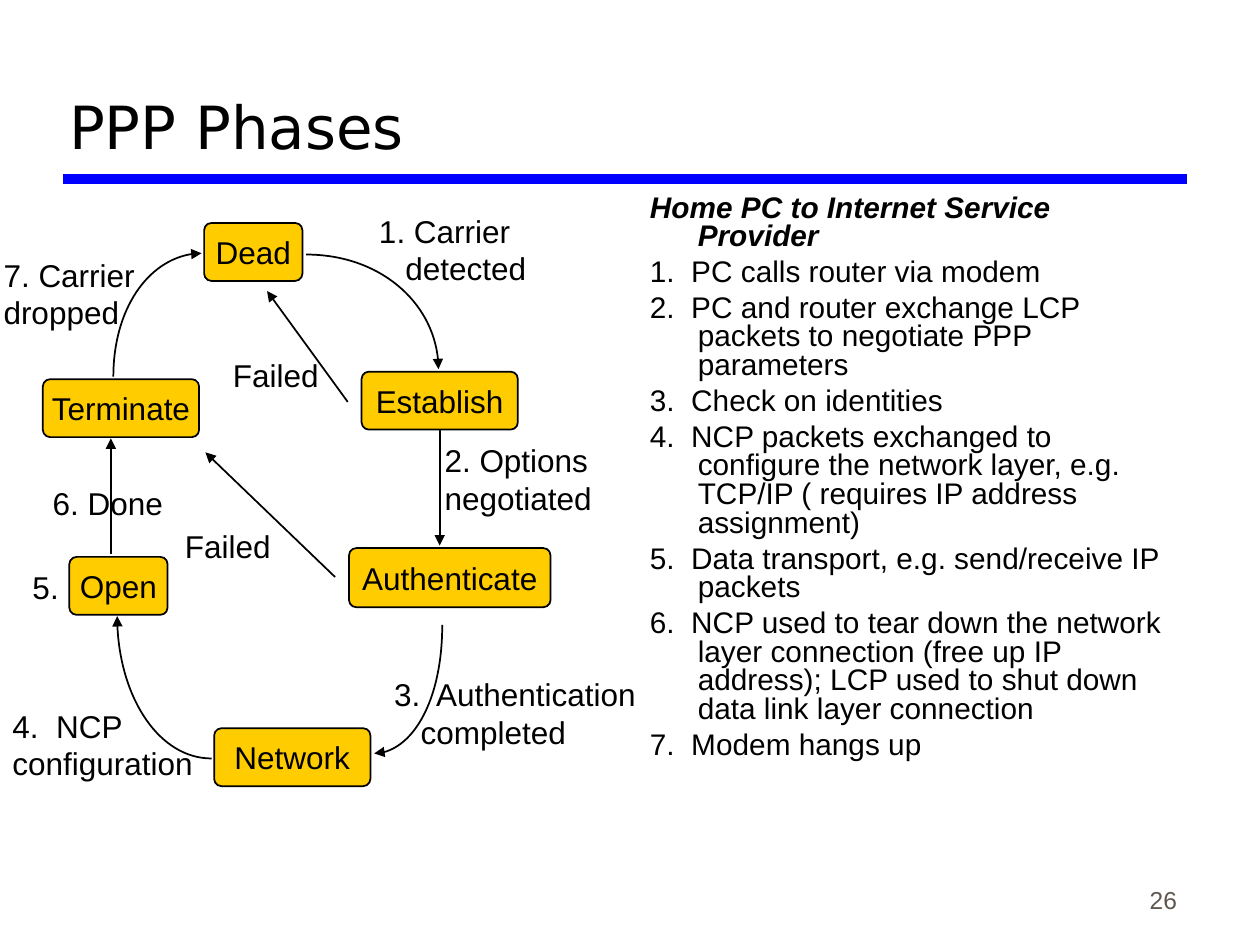
from dataclasses import dataclass

from lxml.etree import SubElement
from pptx import Presentation
from pptx.dml.color import RGBColor
from pptx.enum.shapes import MSO_CONNECTOR, MSO_SHAPE
from pptx.enum.text import MSO_ANCHOR, MSO_AUTO_SIZE, PP_ALIGN
from pptx.oxml.ns import qn
from pptx.util import Inches, Pt


@dataclass(frozen=True)
class Theme:
    ink: str = "000000"
    box: str = "FFCC00"
    rule: str = "0000FF"
    muted: str = "5E574E"
    font: str = "Arial"
    head_font: str = "DejaVu Sans"
    head: int = 34
    label: int = 18
    body: int = 17
    number: int = 14
    thin: int = 1
    thick: int = 6


THEME = Theme()
COLS, ROWS = 100, 75
CELL = Inches(10) // COLS
CURVE = 0.55  # control point share for a quarter ellipse

# Phase: left, top, width, height
PHASES = {
    "Dead": (16.2, 17.7, 7.8, 4.6),
    "Establish": (28.7, 29.5, 12.4, 4.6),
    "Authenticate": (27.7, 43.5, 16, 4.7),
    "Network": (17, 57.8, 12.4, 4.6),
    "Open": (5.5, 44.2, 7.8, 4.6),
    "Terminate": (3.4, 30.1, 12.4, 4.6),
}

# Start, corner that the curve bends towards, end
ARCS = [
    ((24.3, 20.2), (34.8, 20.2), (34.8, 29.3)),
    ((35.1, 49.6), (35.1, 59.8), (29.7, 59.8)),
    ((16.8, 60.2), (9.3, 60.2), (9.3, 48.9)),
    ((9, 29.9), (9, 20.1), (16, 20.1)),
]

ARROWS = [
    ((8.8, 44), (8.8, 34.8)),
    ((27.6, 31.9), (21.2, 23.1)),
    ((26.6, 45.8), (16.3, 35.9)),
]

# Left, top, width, indent of the second line, lines
LABELS = [
    (17.5, 27.8, 9, 0, ["Failed"]),
    (13.7, 41.3, 9, 0, ["Failed"]),
    (29.1, 16.3, 14, 2.1, ["1. Carrier", "detected"]),
    (34.3, 34.5, 14, 0, ["2. Options", "negotiated"]),
    (30.3, 53.1, 22, 2.1, ["3.  Authentication", "completed"]),
    (0, 55.6, 17, 0, ["4.  NCP", "configuration"]),
    (1.6, 44.6, 4.3, 0, ["5."]),
    (3.2, 37.9, 12, 0, ["6. Done"]),
    (-0.7, 19.8, 13, 0, ["7. Carrier", "dropped"]),
]

STEPS = [
    "Home PC to Internet Service Provider",
    "1.  PC calls router via modem",
    "2.  PC and router exchange LCP packets to negotiate PPP parameters",
    "3.  Check on identities",
    "4.  NCP packets exchanged to configure the network layer, e.g. "
    "TCP/IP ( requires IP address assignment)",
    "5.  Data transport, e.g. send/receive IP packets",
    "6.  NCP used to tear down the network layer connection (free up IP "
    "address); LCP used to shut down data link layer connection",
    "7.  Modem hangs up",
]


def grid(*cells):
    return [round(cell * CELL) for cell in cells]


def paint(color, name):
    color.rgb = RGBColor.from_string(name)


def write(frame, lines, size, color=THEME.ink, font=THEME.font):
    frame.text = "\n".join(lines)
    for para in frame.paragraphs:
        for run in para.runs:
            run.font.size = Pt(size)
            run.font.name = font
            paint(run.font.color, color)


def add_text(slide, place, lines, size, **style):
    frame = slide.shapes.add_textbox(*grid(*place)).text_frame
    frame.word_wrap = True
    write(frame, lines, size, **style)
    return frame


def indent(para, left, first=0):
    props = para._p.get_or_add_pPr()
    props.set("marL", str(grid(left)[0]))
    props.set("indent", str(grid(first)[0]))


def add_label(slide, left, top, width, inset, lines):
    height = 1 + 3 * len(lines)
    frame = add_text(slide, (left, top, width, height), lines, THEME.label)
    frame.auto_size = MSO_AUTO_SIZE.SHAPE_TO_FIT_TEXT
    if inset:
        indent(frame.paragraphs[1], inset)


def add_phase(slide, name, place):
    box = slide.shapes.add_shape(MSO_SHAPE.ROUNDED_RECTANGLE, *grid(*place))
    box.adjustments[0] = 0.125
    box.shadow.inherit = False
    box.fill.solid()
    paint(box.fill.fore_color, THEME.box)
    stroke(box.line)
    frame = box.text_frame
    frame.word_wrap = False
    frame.margin_left = frame.margin_right = 0
    frame.vertical_anchor = MSO_ANCHOR.MIDDLE
    write(frame, [name], THEME.label)
    frame.paragraphs[0].alignment = PP_ALIGN.CENTER
    return box


def stroke(line, color=THEME.ink, width=THEME.thin):
    paint(line.color, color)
    line.width = Pt(width)


def add_head(line):
    SubElement(line._get_or_add_ln(), qn("a:tailEnd"), type="triangle")


def add_line(slide, start, end, color=THEME.ink, width=THEME.thin):
    line = slide.shapes.add_connector(MSO_CONNECTOR.STRAIGHT, *grid(*start, *end))
    stroke(line.line, color, width)
    SubElement(line._element.spPr, qn("a:effectLst"))
    return line


def add_arrow(slide, start, end):
    line = add_line(slide, start, end)
    add_head(line.line)
    return line


def add_arc(slide, start, corner, end):
    """Draw a quarter ellipse as one Bezier curve with an arrowhead."""
    bends = [
        [a + CURVE * (c - a) for a, c in zip(point, corner)]
        for point in (start, end)
    ]
    pen = slide.shapes.build_freeform(*grid(*start))
    pen.add_line_segments([grid(*p) for p in (*bends, end)], close=False)
    arc = pen.convert_to_shape()
    arc.shadow.inherit = False
    arc.fill.background()
    stroke(arc.line)
    add_head(arc.line)
    legs = list(arc._element.iter(qn("a:lnTo")))
    track = legs[0].getparent()
    curve = SubElement(track, qn("a:cubicBezTo"))
    for leg in legs:
        curve.append(leg[0])
        track.remove(leg)


def add_steps(slide):
    frame = add_text(slide, (50.6, 15, 43.9, 51.3), STEPS, THEME.body)
    for para in frame.paragraphs:
        indent(para, 3.8, -3.8)
        para.line_spacing = 0.8
        para.space_before = Pt(4.2)
    title = frame.paragraphs[0].runs[0].font
    title.bold = title.italic = True


def main():
    deck = Presentation()
    deck.slide_width, deck.slide_height = COLS * CELL, ROWS * CELL
    slide = deck.slides.add_slide(deck.slide_layouts[6])

    add_line(slide, (5, 14.2), (94.2, 14.2), THEME.rule, THEME.thick)
    number = add_text(slide, (73.6, 68.1, 20.8, 5), ["26"], THEME.number,
                      color=THEME.muted)
    number.paragraphs[0].alignment = PP_ALIGN.RIGHT
    head = add_text(slide, (4.5, 1.7, 89.7, 11.6), ["PPP Phases"], THEME.head,
                    font=THEME.head_font)
    head.vertical_anchor = number.vertical_anchor = MSO_ANCHOR.BOTTOM
    add_steps(slide)

    boxes = {name: add_phase(slide, name, place) for name, place in PHASES.items()}
    for arc in ARCS:
        add_arc(slide, *arc)
    for ends in ARROWS:
        add_arrow(slide, *ends)
    down = add_arrow(slide, (34.9, 34.1), (34.9, 43.3))
    down.begin_connect(boxes["Establish"], 2)
    for label in LABELS:
        add_label(slide, *label)

    deck.save("out.pptx")


if __name__ == "__main__":
    main()
